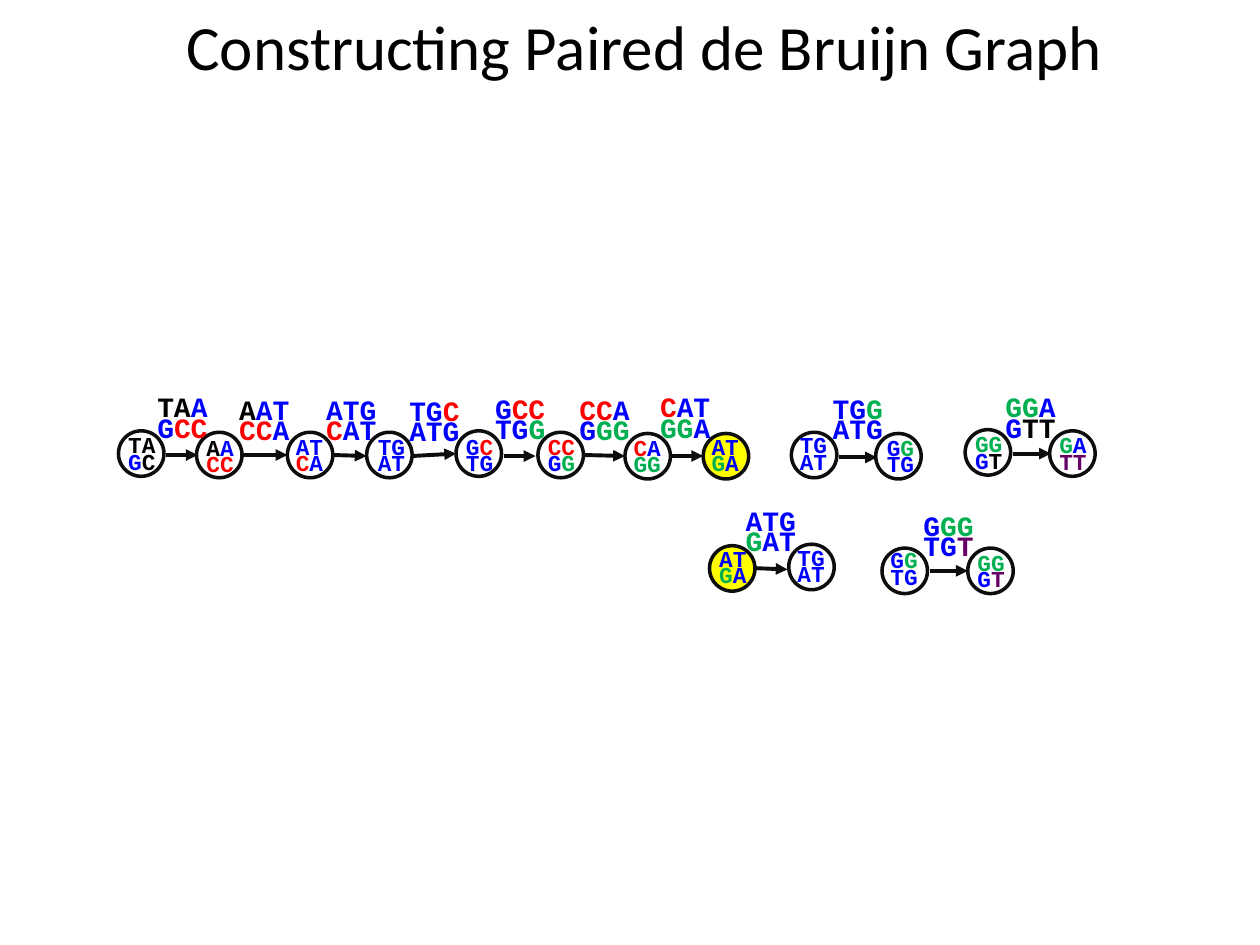
from dataclasses import dataclass
from itertools import groupby

from lxml import etree
from pptx import Presentation
from pptx import util as u
from pptx.dml.color import RGBColor
from pptx.enum import shapes, text
from pptx.oxml.ns import qn

COLORS = {
    "k": "000000",
    "b": "0000FF",
    "r": "FF0000",
    "g": "00B050",
    "p": "660066",
    "outline": "0D0D0D",
    "shared": "FFFF00",
}
DIAMETER = 26
NODE_SIZE, EDGE_SIZE = 13, 16


@dataclass
class Label:
    x: float
    y: float
    letters: str
    hues: str


@dataclass
class Node:
    x: float
    y: float
    label: Label
    shared: bool = False


@dataclass
class Edge:
    x1: float
    y1: float
    x2: float
    y2: float
    label: Label


NODES = [
    Node(67.7, 246.2, Label(66.2, 248.4, "TA/GC", "kk/bk")),
    Node(112.3, 247, Label(110.9, 249.8, "AA/CC", "kb/rr")),
    Node(164.2, 247, Label(162, 249.1, "AT/CA", "bb/rb")),
    Node(209.5, 247, Label(208.8, 249.1, "TG/AT", "bb/bb")),
    Node(260.6, 246.2, Label(259.2, 249.1, "GC/TG", "br/bb")),
    Node(307.4, 247, Label(306, 249.1, "CC/GG", "rr/bg")),
    Node(357.1, 247.7, Label(355, 249.8, "CA/GG", "rb/gg")),
    Node(401.8, 247.7, Label(399.6, 249.1, "AT/GA", "bb/gb"), shared=True),
    Node(405.4, 311.8, Label(403.9, 313.2, "AT/GA", "bb/gb"), shared=True),
    Node(450.7, 311, Label(448.6, 312.5, "TG/AT", "bb/bb")),
    Node(452.2, 247, Label(450, 248.4, "TG/AT", "bb/bb")),
    Node(500.4, 247.7, Label(499.7, 249.8, "GG/TG", "bg/bb")),
    Node(504, 313.2, Label(501.8, 313.9, "GG/TG", "bg/bb")),
    Node(553, 313.2, Label(551.5, 315.4, "GG/GT", "gg/bp")),
    Node(551.5, 245.5, Label(550.1, 247.7, "GG/GT", "gg/bk")),
    Node(599.8, 246.2, Label(598.3, 248.4, "GA/TT", "gb/pp")),
]

EDGES = [
    Edge(95, 260, 113, 260, Label(82.8, 226.1, "TAA/GCC", "kkb/brr")),
    Edge(138.2, 260, 164.2, 260, Label(129.6, 227.5, "AAT/CCA", "kbb/rrb")),
    Edge(190.1, 260, 209.5, 260.6, Label(179.3, 227.5, "ATG/CAT", "bbb/rbb")),
    Edge(235.4, 260.6, 260.6, 259.2, Label(226.8, 228.2, "TGC/ATG", "bbr/bbb")),
    Edge(288, 260.6, 306, 260.6, Label(275.8, 226.8, "GCC/TGG", "brr/bbg")),
    Edge(333.4, 260, 357.1, 260.6, Label(324, 227.5, "CCA/GGG", "rrb/bgg")),
    Edge(383.8, 260.6, 401.8, 260.6, Label(370.1, 226.1, "CAT/GGA", "rbb/ggb")),
    Edge(432, 324.7, 450, 325.4, Label(419, 290.9, "ATG/GAT", "bbb/gbb")),
    Edge(479.5, 261.4, 501.1, 261.4, Label(468.7, 226.8, "TGG/ATG", "bbg/bbb")),
    Edge(531.4, 326.2, 553, 326.2, Label(520.6, 293.8, "GGG/TGT", "bgg/bbp")),
    Edge(578.9, 259.2, 600.5, 259.2, Label(567.4, 226.1, "GGA/GTT", "ggb/bkk")),
]


def rgb(name: str) -> RGBColor:
    return RGBColor.from_string(COLORS[name])


def add_title(s, words: str) -> None:
    sp = s.shapes.add_textbox(u.Pt(5), u.Pt(0.7), u.Pt(726.5), u.Pt(51.1))
    tf = sp.text_frame
    tf.word_wrap = True
    tf.auto_size = text.MSO_AUTO_SIZE.SHAPE_TO_FIT_TEXT
    p = tf.paragraphs[0]
    p.text = words
    p.alignment = text.PP_ALIGN.CENTER
    p.font.size = u.Pt(36)
    p.font.name = "Calibri"
    p.font.color.rgb = rgb("k")


def add_label(s, label: Label, size: float) -> None:
    lines = list(zip(label.letters.split("/"), label.hues.split("/")))
    width = 14.4 + 0.6 * size * len(lines[0][0])
    height = 7.2 + 1.4 * size
    sp = s.shapes.add_textbox(u.Pt(label.x), u.Pt(label.y), u.Pt(width), u.Pt(height))
    tf = sp.text_frame
    tf.word_wrap = False
    tf.auto_size = text.MSO_AUTO_SIZE.SHAPE_TO_FIT_TEXT
    for i, (letters, hues) in enumerate(lines):
        p = tf.add_paragraph() if i else tf.paragraphs[0]
        p.line_spacing = 0.6
        p.font.size = u.Pt(size)
        p.font.name = "Courier New"
        p.font.bold = True
        for hue, pairs in groupby(zip(letters, hues), key=lambda pair: pair[1]):
            r = p.add_run()
            r.text = "".join(letter for letter, _ in pairs)
            r.font.color.rgb = rgb(hue)


def add_node(s, node: Node) -> None:
    sp = s.shapes.add_shape(
        shapes.MSO_SHAPE.OVAL,
        u.Pt(node.x), u.Pt(node.y), u.Pt(DIAMETER), u.Pt(DIAMETER),
    )
    sp.shadow.inherit = False
    if node.shared:
        sp.fill.solid()
        sp.fill.fore_color.rgb = rgb("shared")
    else:
        sp.fill.background()
    sp.line.color.rgb = rgb("outline")
    sp.line.width = u.Pt(2)
    add_label(s, node.label, NODE_SIZE)


def add_arrow(s, edge: Edge) -> None:
    sp = s.shapes.add_connector(
        shapes.MSO_CONNECTOR.STRAIGHT,
        u.Pt(edge.x1), u.Pt(edge.y1), u.Pt(edge.x2), u.Pt(edge.y2),
    )
    sp.line.color.rgb = rgb("outline")
    sp.line.width = u.Pt(2.25)
    etree.SubElement(sp.line._get_or_add_ln(), qn("a:tailEnd"), type="triangle")
    etree.SubElement(sp._element.spPr, qn("a:effectLst"))


def main() -> None:
    prs = Presentation()
    prs.slide_width, prs.slide_height = u.Pt(720), u.Pt(540)
    s = prs.slides.add_slide(prs.slide_layouts[6])
    add_title(s, "Constructing Paired de Bruijn Graph")
    for edge in EDGES:
        add_arrow(s, edge)
    for node in NODES:
        add_node(s, node)
    for edge in EDGES:
        add_label(s, edge.label, EDGE_SIZE)
    prs.save("out.pptx")


if __name__ == "__main__":
    main()
